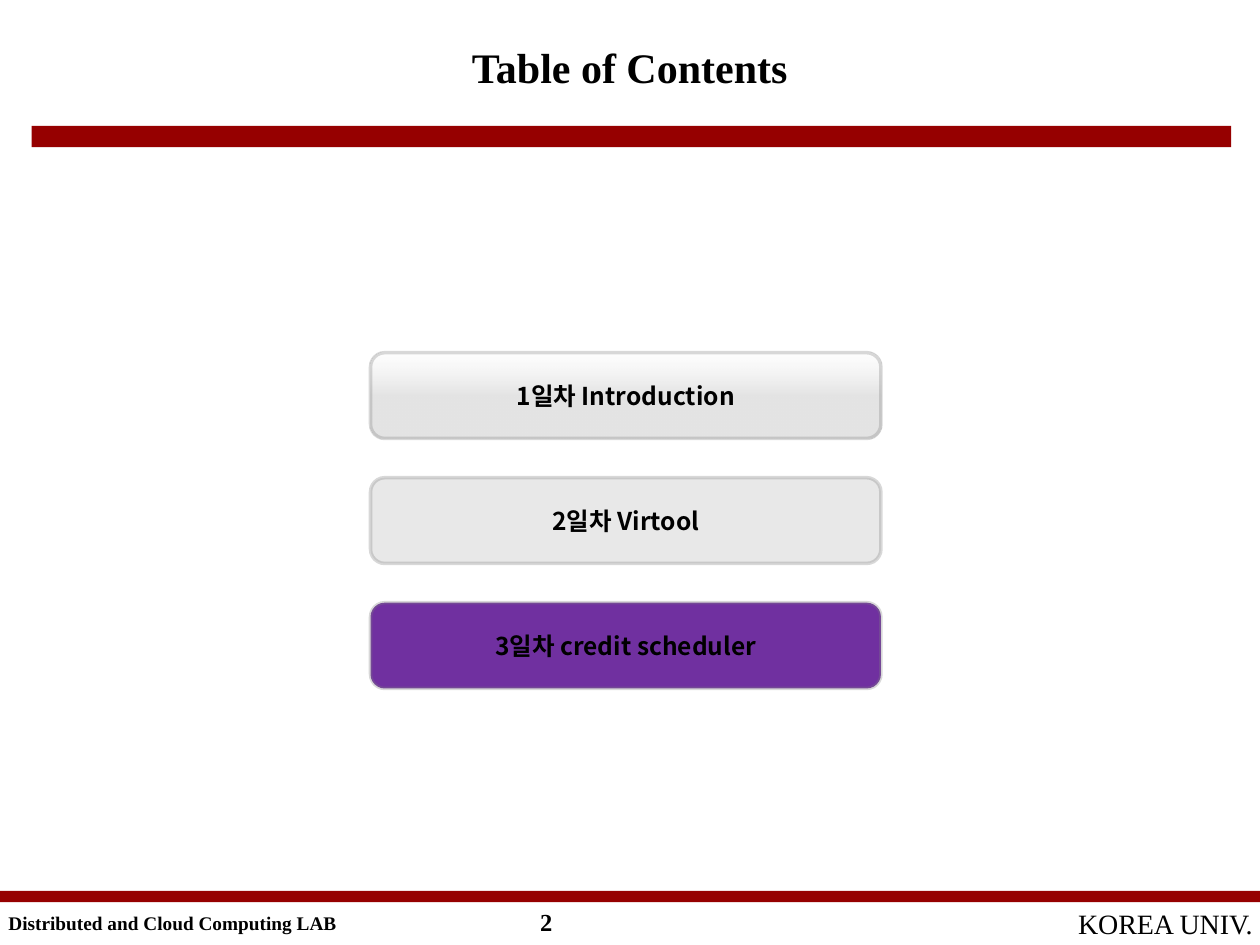
import pptx
import pptx.util
import pptx.dml.color
import pptx.enum.shapes
import pptx.enum.text
import pptx.oxml.ns
import lxml.etree

Cm = pptx.util.Cm
Pt = pptx.util.Pt
RGBColor = pptx.dml.color.RGBColor
Align = pptx.enum.text.PP_ALIGN
Anchor = pptx.enum.text.MSO_ANCHOR
Shapes = pptx.enum.shapes.MSO_SHAPE
qn = pptx.oxml.ns.qn

CRIMSON = RGBColor(0x96, 0x00, 0x00)
PURPLE = RGBColor(0x70, 0x30, 0xA0)
PALE = RGBColor(0xE8, 0xE8, 0xE8)
SILVER = RGBColor(0xD9, 0xD9, 0xD9)
GREY = RGBColor(0x80, 0x80, 0x80)
WHITE = RGBColor(0xFF, 0xFF, 0xFF)
BLACK = RGBColor(0x00, 0x00, 0x00)
SERIF = "Times New Roman"
SANS = "Noto Sans CJK KR"


def write_text(shape, text, size, font, bold=True, align=Align.LEFT, anchor=Anchor.TOP, wrap=True):
    frame = shape.text_frame
    frame.text = text
    frame.word_wrap = wrap
    frame.vertical_anchor = anchor
    para = frame.paragraphs[0]
    para.alignment = align
    span = para.runs[0]
    span.font.size = Pt(size)
    span.font.name = font
    span.font.bold = bold
    span.font.color.rgb = BLACK
    east_asian = lxml.etree.SubElement(span.font._element, qn("a:ea"))
    east_asian.set("typeface", font)


def set_alpha(parent, percentages):
    for colour, percent in zip(parent.iter(qn("a:srgbClr")), percentages):
        lxml.etree.SubElement(colour, qn("a:alpha")).set("val", str(percent * 1000))


def add_bar(page, left, top, width, height):
    bar = page.shapes.add_shape(Shapes.RECTANGLE, Cm(left), Cm(top), Cm(width), Cm(height))
    bar.shadow.inherit = False
    bar.fill.solid()
    bar.fill.fore_color.rgb = CRIMSON
    bar.line.fill.background()


def add_label(page, left, top, width, height, text, size, **style):
    box = page.shapes.add_textbox(Cm(left), Cm(top), Cm(width), Cm(height))
    write_text(box, text, size, SERIF, **style)


def add_header(page, left, top, width):
    title = page.shapes.title
    title.left, title.top = Cm(left + 8.59), Cm(top)
    title.width, title.height = Cm(6.93), Cm(1.28)
    write_text(title, "Table of Contents", 24, SERIF, align=Align.CENTER, wrap=False)
    add_bar(page, left, top + 1.83, width, 0.43)


def add_footer(page, left, top, width):
    add_bar(page, left, top, width, 0.23)
    add_label(page, left - 0.08, top + 0.28, 10.44, 0.81, "Distributed and Cloud Computing LAB", 11)
    add_label(page, left + 10.64, top + 0.2, 4.39, 0.91, "2", 14)
    add_label(page, left + 20.98, top + 0.2, 5.03, 0.94, "KOREA UNIV.", 16,
              bold=False, align=Align.CENTER)


def add_button(page, left, top, width, height, text, colour):
    button = page.shapes.add_shape(Shapes.ROUNDED_RECTANGLE, Cm(left), Cm(top), Cm(width), Cm(height))
    button.shadow.inherit = False
    if colour is None:
        button.fill.gradient()
        button.fill.gradient_angle = 270
        for stop, tone, position in zip(button.fill.gradient_stops, (WHITE, SILVER), (0, 0.5)):
            stop.color.rgb = tone
            stop.position = position
        set_alpha(button._element.spPr, (50, 70))
    else:
        button.fill.solid()
        button.fill.fore_color.rgb = colour
    button.line.color.rgb = GREY
    button.line.width = Pt(2)
    set_alpha(button.line._ln, (30,))
    write_text(button, text, 14, SANS, align=Align.CENTER, anchor=Anchor.MIDDLE)


def add_agenda(page, left, top, width):
    entries = (("1일차 Introduction", None), ("2일차 Virtool", PALE), ("3일차 credit scheduler", PURPLE))
    for index, (text, colour) in enumerate(entries):
        add_button(page, left, top + index * 2.52, width, 1.73, text, colour)


def build_contents_page(deck):
    page = deck.slides.add_slide(deck.slide_layouts[5])
    add_header(page, 0.64, 0.71, 24.18)
    add_agenda(page, 7.47, 7.11, 10.29)
    add_footer(page, 0, 17.96, 25.4)


deck = pptx.Presentation()
deck.slide_width, deck.slide_height = Cm(25.4), Cm(19.05)
build_contents_page(deck)
deck.save("out.pptx")
